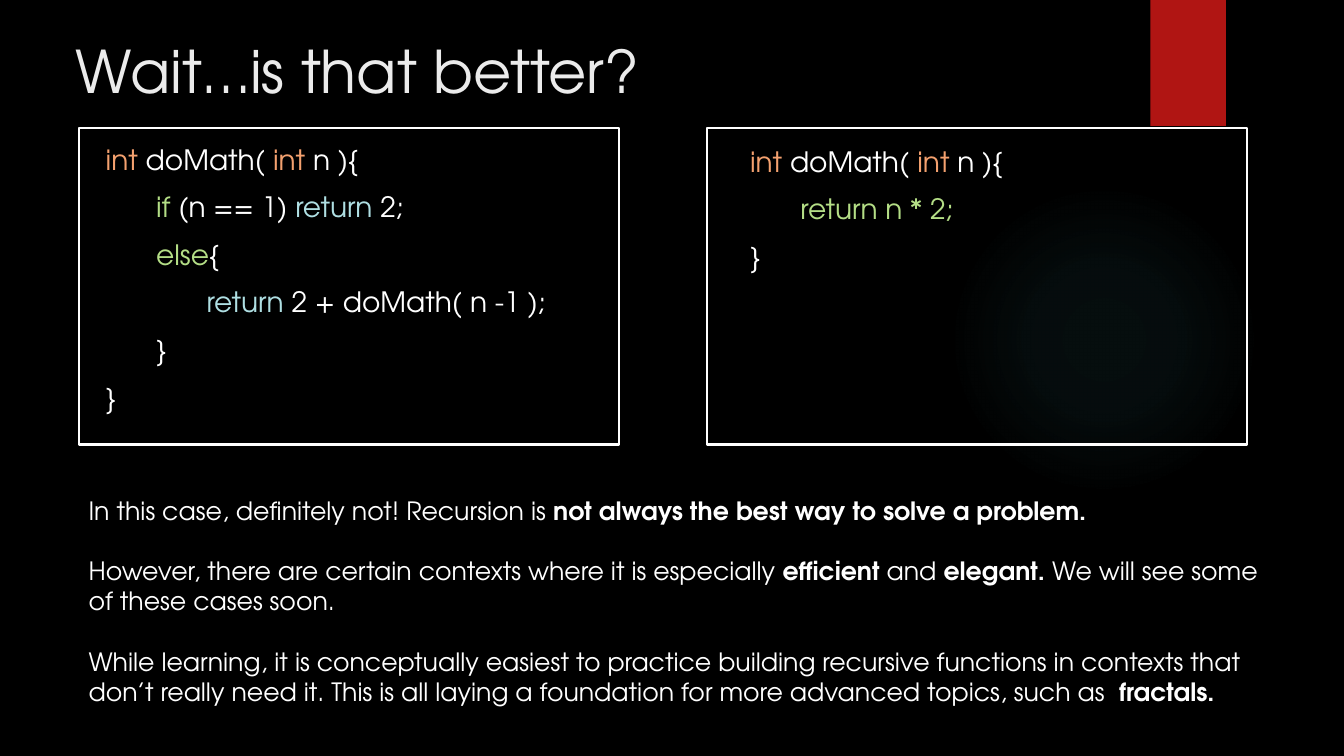
import pptx
import pptx.util
import pptx.dml.color
import pptx.enum.shapes
import pptx.enum.text
import pptx.oxml
import pptx.oxml.ns

Inches, Pt = pptx.util.Inches, pptx.util.Pt
RGBColor = pptx.dml.color.RGBColor
Kind = pptx.enum.shapes.MSO_SHAPE
Anchor = pptx.enum.text.MSO_ANCHOR
Align = pptx.enum.text.PP_ALIGN
Fit = pptx.enum.text.MSO_AUTO_SIZE

FONT = "TeX Gyre Adventor"
BLACK = RGBColor(0x00, 0x00, 0x00)
WHITE = RGBColor(0xFF, 0xFF, 0xFF)
PALE = RGBColor(0xEB, 0xEB, 0xEB)
RED = RGBColor(0xB0, 0x15, 0x13)
ORANGE = RGBColor(0xF4, 0xA1, 0x6F)
GREEN = RGBColor(0xB4, 0xDE, 0x86)
AQUA = RGBColor(0xAF, 0xDF, 0xE3)
TEAL = RGBColor(0x50, 0xB9, 0xC1)

TITLE = "Wait…is that better?"
HEAD = (0, [("int ", ORANGE), ("doMath( ", WHITE), ("int ", ORANGE), ("n ){", WHITE)])
TAIL = (0, [("}", WHITE)])
# Each code line is its indent level and its coloured parts.
LOOP = [
    HEAD,
    (1, [("if", GREEN), (" (n == 1) ", WHITE), ("return ", AQUA), ("2;", WHITE)]),
    (1, [("else", GREEN), ("{", WHITE)]),
    (2, [("return ", AQUA), ("2 + doMath( n -1 );", WHITE)]),
    (1, [("}", WHITE)]),
    TAIL,
]
SHORT = [HEAD, (1, [("return n * 2;", GREEN)]), TAIL]
# Code, left edge of its frame, left and top of its text.
PANELS = [(LOOP, 0.78, 0.95, 1.36), (SHORT, 7.01, 7.34, 1.38)]
# Each paragraph alternates plain and bold parts.
NOTES = [
    ["In this case, definitely not! Recursion is ",
     "not always the best way to solve a problem."],
    ["However, there are certain contexts where it is especially ",
     "efficient", " and ", "elegant.", " We will see some of these cases soon."],
    ["While learning, it is conceptually easiest to practice building recursive "
     "functions in contexts that don’t really need it. This is all laying a "
     "foundation for more advanced topics, such as  ", "fractals."],
]
GLOW = [(0, 7), (36, 6), (69, 0), (100, 0)]  # stop and opacity, percent


def add_run(para, text, size, color, bold=False):
    """Add one styled run to a paragraph."""
    run = para.add_run()
    run.text = text
    run.font.name, run.font.size, run.font.bold = FONT, Pt(size), bold
    run.font.color.rgb = color


def add_text(slide, box):
    """Add a wrapping text box and return its frame."""
    frame = slide.shapes.add_textbox(*map(Inches, box)).text_frame
    frame.word_wrap = True
    return frame


def next_para(frame, index):
    """Return the first paragraph, or a new one after it."""
    return frame.add_paragraph() if index else frame.paragraphs[0]


def add_form(slide, kind, box, fill=None, line=None):
    """Add a preset shape with a plain fill or outline."""
    form = slide.shapes.add_shape(kind, *map(Inches, box))
    form.shadow.inherit = False
    if fill is None:
        form.fill.background()
    else:
        form.fill.solid()
        form.fill.fore_color.rgb = fill
    if line is None:
        form.line.fill.background()
    else:
        form.line.color.rgb = line
        form.line.width = Pt(1.5)
    return form


def add_glow(slide, box):
    """Add a circle that fades out from its centre."""
    form = add_form(slide, Kind.OVAL, box, TEAL)
    stops = "".join(
        f'<a:gs pos="{pos * 1000}"><a:srgbClr val="{TEAL}">'
        f'<a:alpha val="{alpha * 1000}"/></a:srgbClr></a:gs>'
        for pos, alpha in GLOW)
    grad = pptx.oxml.parse_xml(
        f'<a:gradFill {pptx.oxml.ns.nsdecls("a")} rotWithShape="1">'
        f'<a:gsLst>{stops}</a:gsLst><a:path path="circle">'
        '<a:fillToRect l="50000" t="50000" r="50000" b="50000"/>'
        '</a:path></a:gradFill>')
    props = form.element.spPr
    props.replace(props.find(pptx.oxml.ns.qn("a:solidFill")), grad)


def add_code(slide, code, left, top):
    """Write code lines, half an inch of indent per level."""
    frame = add_text(slide, (left, top, 4.69, 2.93))
    for index, (level, parts) in enumerate(code):
        para = next_para(frame, index)
        para.space_before = Pt(10)
        para._p.get_or_add_pPr().set("marL", str(Inches(0.5 * level)))
        for text, color in parts:
            add_run(para, text, 20, color)


def add_notes(slide):
    """Write the closing paragraphs, one line apart."""
    frame = add_text(slide, (0.78, 4.86, 12.09, 2.52))
    for index, parts in enumerate(NOTES):
        para = next_para(frame, index)
        para.space_before = Pt(21.6 if index else 0)
        for place, text in enumerate(parts):
            add_run(para, text, 18, WHITE, place % 2 == 1)


def set_title(slide):
    """Place and fill the title."""
    title = slide.shapes.title
    title.left, title.top, title.width, title.height = map(
        Inches, (0.65, 0.29, 10.29, 1.53))
    frame = title.text_frame
    frame.vertical_anchor, frame.auto_size = Anchor.TOP, Fit.NONE
    frame.word_wrap = True
    frame.paragraphs[0].alignment = Align.LEFT
    add_run(frame.paragraphs[0], TITLE, 42, PALE)


deck = pptx.Presentation()
deck.slide_width, deck.slide_height = Inches(13.33), Inches(7.5)
slide = deck.slides.add_slide(deck.slide_layouts[5])
slide.background.fill.solid()
slide.background.fill.fore_color.rgb = BLACK

add_glow(slide, (9.41, 1.83, 3.08, 3.08))
add_form(slide, Kind.RECTANGLE, (11.41, 0, 0.75, 1.25), RED)
for code, edge, left, top in PANELS:
    add_code(slide, code, left, top)
    add_form(slide, Kind.RECTANGLE, (edge, 1.27, 5.36, 3.14), line=WHITE)
set_title(slide)
add_notes(slide)
deck.save("out.pptx")
